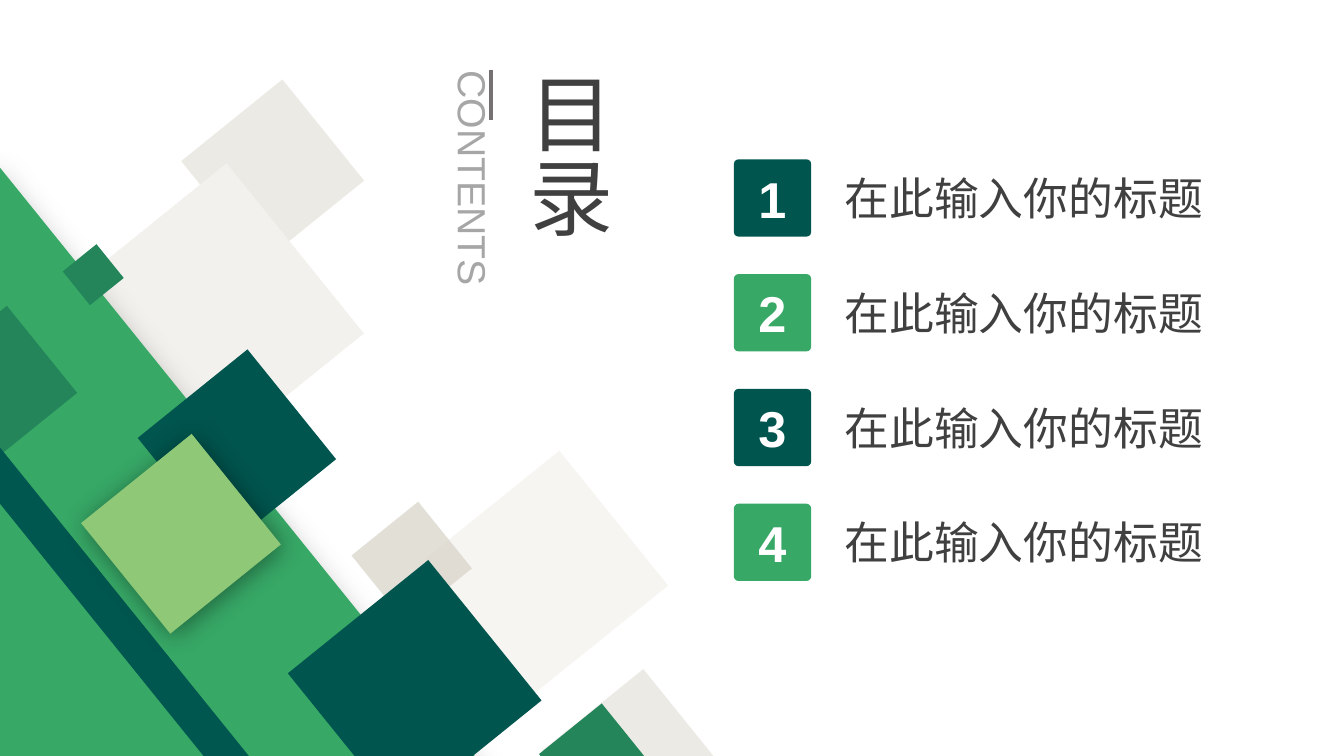
from lxml import etree
from pptx import Presentation
from pptx.dml.color import RGBColor as RGB
from pptx.enum.shapes import MSO_CONNECTOR as CONN, MSO_SHAPE as SHAPE
from pptx.enum.text import MSO_ANCHOR as ANCHOR, PP_ALIGN as ALIGN
from pptx.oxml.ns import qn
from pptx.util import Pt

COLORS = {
    "pine": "00554E", "stripe": "00574F", "green": "37A866", "leaf": "24855A",
    "lime": "8FC877", "mist": "E7E4DD", "pale": "F2F1ED", "sand": "D8D4C9",
    "ink": "404040", "grey": "A6A6A6", "rule": "767171", "white": "FFFFFF",
    "black": "000000",
}
TILT = 231.1
TILES = [
    (148.3, 75.6, 92.9, 92.9, "mist", 76, None),
    (72, 148.3, 156.2, 156.2, "pale", None, None),
    (406.1, 496.8, 92.9, 92.9, "mist", 76, None),
    (328.3, 347, 123.8, 123.8, "pale", 67, None),
    (263.5, 370.8, 61.2, 61.2, "sand", 73, None),
    (-282.2, 337, 748.1, 349.2, "green", None, (27, 16, 90)),
    (396.7, 514.1, 57.6, 57.6, "leaf", None, None),
    (118.8, 270, 100.8, 100.8, "pine", None, None),
    (-41, 234.7, 79.9, 79.9, "leaf", None, None),
    (51.1, 180.7, 31, 31, "leaf", None, None),
    (-273.6, 473, 782.6, 25.2, "stripe", None, None),
    (78.5, 330.5, 101.5, 101.5, "lime", None, (18, 3, 45)),
    (231.8, 426.2, 128.9, 128.9, "pine", None, None),
]
ITEMS = ["在此输入你的标题"] * 4


def rgb(name):
    """Return the named colour."""
    return RGB.from_string(COLORS[name])


def add_alpha(color, percent):
    """Set the opacity of a colour element."""
    etree.SubElement(color, qn("a:alpha"), val=str(percent * 1000))


def add_block(s, kind, x, y, w, h, color):
    """Draw a flat filled shape without outline."""
    sp = s.shapes.add_shape(kind, Pt(x), Pt(y), Pt(w), Pt(h))
    sp.shadow.inherit = False
    sp.fill.solid()
    sp.fill.fore_color.rgb = rgb(color)
    sp.line.fill.background()
    return sp


def add_shadow(sp, blur, dist, angle):
    """Give a shape a soft black outer shadow."""
    effects = sp._element.spPr.find(qn("a:effectLst"))
    shadow = etree.SubElement(
        effects, qn("a:outerShdw"), blurRad=str(Pt(blur)), dist=str(Pt(dist)),
        dir=str(angle * 60000), algn="ctr", rotWithShape="0")
    add_alpha(etree.SubElement(shadow, qn("a:srgbClr"), val=COLORS["black"]), 40)


def write(tf, text, color, **fmt):
    """Fill a text frame with one formatted run."""
    r = tf.paragraphs[0].add_run()
    r.text = text
    for key, value in {"name": "Arial", **fmt}.items():
        setattr(r.font, key, value)
    r.font.color.rgb = rgb(color)


def add_label(s, x, y, w, h, text, size, color):
    """Place a wrapping text box."""
    sp = s.shapes.add_textbox(Pt(x), Pt(y), Pt(w), Pt(h))
    sp.text_frame.word_wrap = True
    write(sp.text_frame, text, color, size=Pt(size))
    return sp


def add_backdrop(s, x, y):
    """Scatter the tilted tiles from the given corner."""
    for dx, dy, w, h, color, alpha, shadow in TILES:
        sp = add_block(s, SHAPE.RECTANGLE, x + dx, y + dy, w, h, color)
        sp.rotation = TILT
        if alpha:
            add_alpha(sp._element.spPr.find(qn("a:solidFill"))[0], alpha)
        if shadow:
            add_shadow(sp, *shadow)


def add_heading(s, x, y, w, h):
    """Set the vertical title, its subtitle and the rule between them."""
    sub_w, sub_h = 168.5, 75
    sub = add_label(s, x + (sub_h - sub_w) / 2, y + (sub_w - sub_h) / 2,
                    sub_w, sub_h, "CONTENTS", 28, "grey")
    sub.rotation = 90
    title_w = 87
    title = add_label(s, x + w - title_w, y + 0.7, title_w, h, "目录", 60, "ink")
    title.text_frame._txBody.bodyPr.set("vert", "eaVert")
    rule_x = x + 67
    cx = s.shapes.add_connector(CONN.STRAIGHT, Pt(rule_x), Pt(y + 7),
                                Pt(rule_x), Pt(y + 42.2))
    cx.line.color.rgb = rgb("rule")
    cx.line.width = Pt(3)
    etree.SubElement(cx._element.spPr, qn("a:effectLst"))


def add_agenda(s, x, y, w, h):
    """List the numbered entries evenly down the box."""
    side, gap, label_h = 55.2, 16.8, 46
    pitch = (h - side) / (len(ITEMS) - 1)
    for i, text in enumerate(ITEMS):
        top = y + i * pitch
        sp = add_block(s, SHAPE.ROUNDED_RECTANGLE, x, top, side, side,
                       ("pine", "green")[i % 2])
        sp.adjustments[0] = 0.06
        tf = sp.text_frame
        tf.vertical_anchor = ANCHOR.MIDDLE
        tf.paragraphs[0].alignment = ALIGN.CENTER
        write(tf, str(i + 1), "white", size=Pt(36), bold=True)
        add_label(s, x + side + gap, top + (side - label_h) / 2,
                  w - side - gap, label_h, text, 32, "ink")


def main():
    """Build the contents slide and save it."""
    prs = Presentation()
    prs.slide_width, prs.slide_height = Pt(960), Pt(540)
    s = prs.slides.add_slide(prs.slide_layouts[6])
    add_backdrop(s, 0, 0)
    add_heading(s, 283.6, 43.2, 162, 140.4)
    add_agenda(s, 524.2, 113.8, 365, 301.2)
    prs.save("out.pptx")


if __name__ == "__main__":
    main()
